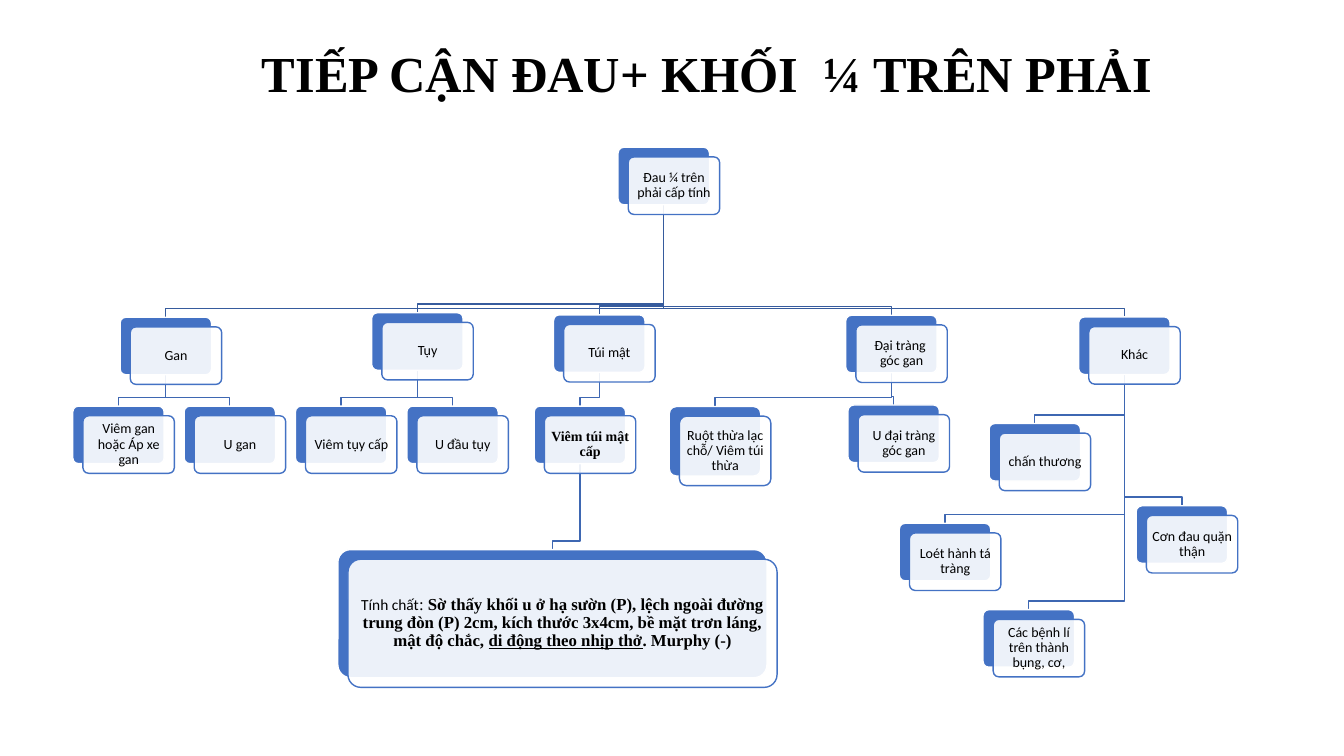
from dataclasses import dataclass, field

from pptx import Presentation
from pptx.dml.color import RGBColor
from pptx.enum.shapes import MSO_SHAPE as Shape
from pptx.enum.text import MSO_ANCHOR as Anchor, PP_ALIGN as Align
from pptx.oxml.ns import qn
from pptx.util import Pt

BLACK = RGBColor(0x00, 0x00, 0x00)
WHITE = RGBColor(0xFF, 0xFF, 0xFF)
CARD_BLUE = RGBColor(0x44, 0x72, 0xC4)
ROOT_LINK = RGBColor(0x36, 0x5B, 0x9D)
BRANCH_LINK = RGBColor(0x3E, 0x67, 0xB2)
SANS, SERIF = "Calibri", "Times New Roman"

CARD_W, CARD_H = 65.3, 41.1
FRONT_DX, FRONT_DY = 7.25, 6.9  # shift of the front card from the back card
TURN_GAP = 6.2  # height of a link's last bend above its child


@dataclass
class Node:
    text: str
    x: float
    y: float
    children: list = field(default_factory=list)
    width: float = CARD_W
    height: float = CARD_H
    size: float = 10
    font: str = SANS
    bold: bool = False
    spans: list = field(default_factory=list)  # (text, bold, underline) after text


# Decision tree: position of each back card in points
TREE = Node("Đau ¼ trên phải cấp tính", 441.5, 105.2, [
    Node("Gan", 85.8, 226.6, [
        Node("Viêm gan hoặc Áp xe gan", 52, 290.1),
        Node("U gan", 131.5, 290.1),
    ]),
    Node("Tụy", 265.5, 223.4, [
        Node("Viêm tụy cấp", 211, 290.1),
        Node("U đầu tụy", 290.6, 290.1),
    ]),
    Node("Túi mật", 395.4, 224.9, [
        Node("Viêm túi mật cấp", 381.6, 290.1, [
            Node("Tính chất", 241.3, 392.6, width=306.5, height=91.5, size=11, spans=[
                (": ", False, False),
                ("Sờ thấy khối u ở hạ sườn (P), lệch ngoài đường trung đòn (P) 2cm, "
                 "kích thước 3x4cm, bề mặt trơn láng, mật độ chắc, ", True, False),
                ("di động theo nhịp thở", True, True),
                (". Murphy (-)", True, False),
            ]),
        ], font=SERIF, bold=True),
    ]),
    Node("Đại tràng \vgóc gan", 604.1, 225.2, [
        Node("Ruột thừa lạc chỗ/ Viêm túi thừa", 478.1, 290.4, height=49.6),
        Node("U đại tràng góc gan", 605.7, 289.3),
    ]),
    Node("Khác", 770.5, 226.4, [
        Node("Loét hành tá tràng", 642.4, 373.8),
        Node("Các bệnh lí trên thành bụng, cơ,", 702.2, 435.5),
        Node("chấn thương", 706.5, 302.5),
        Node("Cơn đau quặn thận", 811.6, 361.3),
    ]),
])


def style_font(font, name, size, bold=False):
    font.name, font.size, font.bold = name, Pt(size), bold
    font.color.rgb = BLACK


def add_text_box(page, left, top, width, height):
    box = page.shapes.add_textbox(Pt(left), Pt(top), Pt(width), Pt(height))
    frame = box.text_frame
    frame.word_wrap = True
    frame.vertical_anchor = Anchor.MIDDLE
    para = frame.paragraphs[0]
    para.line_spacing = 0.9
    return frame, para


def add_title(page, text):
    _, para = add_text_box(page, 180, 18.7, 674.6, 72)
    para.text = text
    style_font(para.font, SERIF, 36, bold=True)


def add_card(page, left, top, node, fill, line):
    card = page.shapes.add_shape(
        Shape.ROUNDED_RECTANGLE, Pt(left), Pt(top), Pt(node.width), Pt(node.height))
    card.adjustments[0] = 0.1
    card.shadow.inherit = False
    card.fill.solid()
    card.fill.fore_color.rgb = fill
    card.line.color.rgb = line
    card.line.width = Pt(1)
    return card


def set_opacity(shape, percent):
    color = shape.fill._xPr.find(qn("a:solidFill"))[0]
    alpha = color.makeelement(qn("a:alpha"), {"val": str(percent * 1000)})
    color.append(alpha)


def add_label(page, left, top, node):
    inset = 0.03 * node.height  # keeps text clear of the rounded corners
    frame, para = add_text_box(page, left + inset, top + inset,
                               node.width - 2 * inset, node.height - 2 * inset)
    margin = Pt(0.3 * node.size)
    frame.margin_left = frame.margin_right = margin
    frame.margin_top = frame.margin_bottom = margin
    para.alignment = Align.CENTER
    para.space_after = Pt(0.35 * node.size)
    para.text = node.text
    style_font(para.font, node.font, node.size, node.bold)
    for text, bold, underline in node.spans:
        span = para.add_run()
        span.text = text
        style_font(span.font, SERIF, 12, bold)
        span.font.underline = underline


def add_node(page, node):
    add_card(page, node.x, node.y, node, CARD_BLUE, WHITE)
    left, top = node.x + FRONT_DX, node.y + FRONT_DY
    set_opacity(add_card(page, left, top, node, WHITE, CARD_BLUE), 90)
    add_label(page, left, top, node)


def add_link(page, parent, child, color):
    start_x, start_y = parent.x + parent.width / 2, parent.y + parent.height
    end_x, turn_y = child.x + child.width / 2, child.y - TURN_GAP
    outline = page.shapes.build_freeform(Pt(start_x), Pt(start_y))
    bends = [(start_x, turn_y), (end_x, turn_y), (end_x, child.y)]
    outline.add_line_segments([(Pt(x), Pt(y)) for x, y in bends], close=False)
    link = outline.convert_to_shape()
    link.shadow.inherit = False
    link.fill.background()
    link.line.color.rgb = color
    link.line.width = Pt(1)


def add_links(page, parent, color):
    for child in parent.children:
        add_links(page, child, BRANCH_LINK)
        add_link(page, parent, child, color)


def add_nodes(page, node):
    add_node(page, node)
    for child in node.children:
        add_nodes(page, child)


def main():
    deck = Presentation()
    deck.slide_width, deck.slide_height = Pt(960), Pt(540)
    page = deck.slides.add_slide(deck.slide_layouts[6])
    add_title(page, "TIẾP CẬN ĐAU+ KHỐI  ¼ TRÊN PHẢI")
    # Links lie behind the cards
    add_links(page, TREE, ROOT_LINK)
    add_nodes(page, TREE)
    deck.save("out.pptx")


if __name__ == "__main__":
    main()
